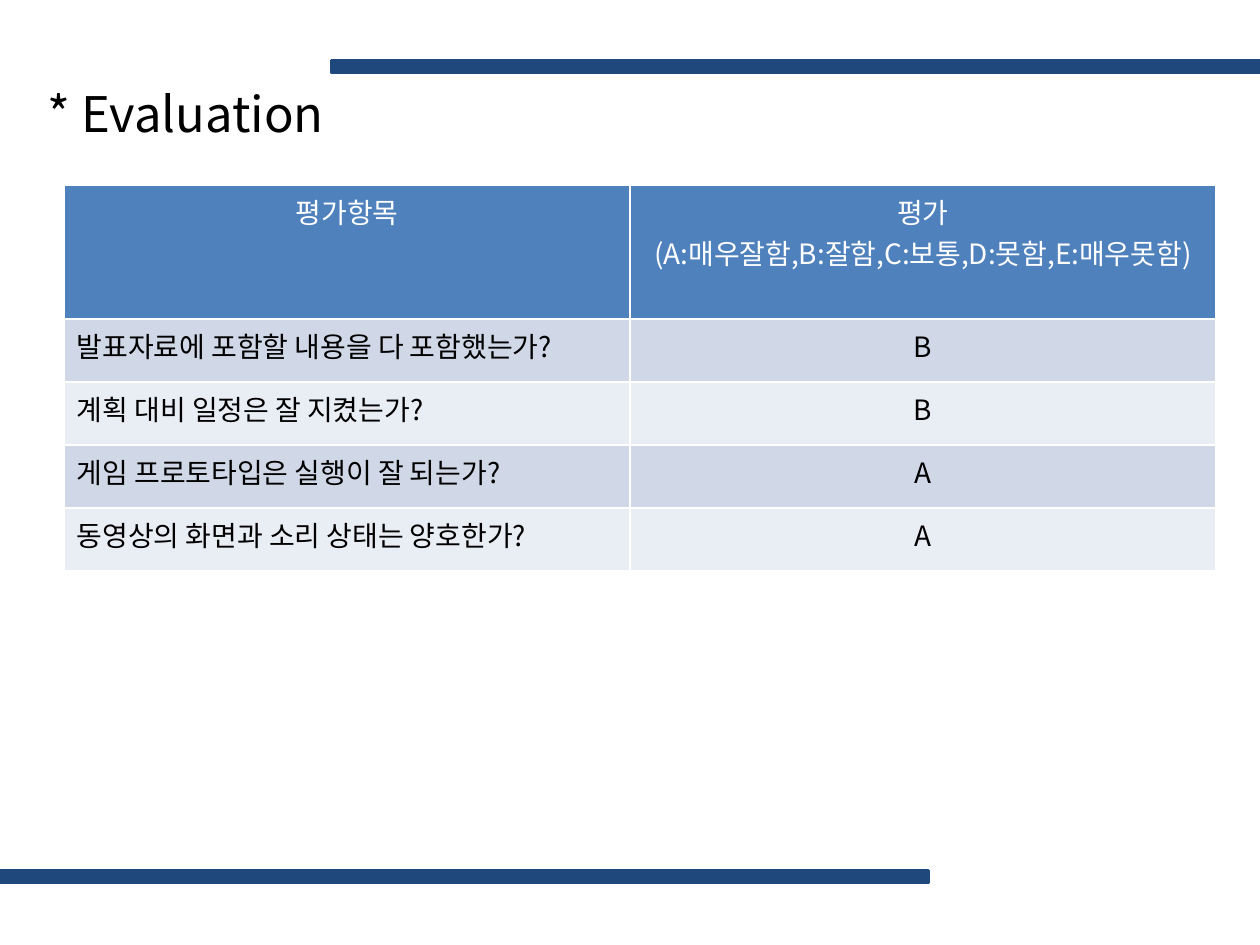
from lxml import etree
from pptx import Presentation
from pptx.dml.color import RGBColor
from pptx.enum import shapes, text
from pptx.oxml.ns import qn
from pptx.util import Inches, Pt

WIDTH, HEIGHT = 10, 7.5
FONT = "Noto Sans CJK KR"
COLORS = {
    "bar": "1F497D",
    "header": "4F81BD",
    "odd": "D0D8E8",
    "even": "E9EDF4",
    "light": "FFFFFF",
    "dark": "000000",
}
HEADINGS = ["평가항목", "평가\n(A:매우잘함,B:잘함,C:보통,D:못함,E:매우못함)"]
GRADES = [
    ("발표자료에 포함할 내용을 다 포함했는가?", "B"),
    ("계획 대비 일정은 잘 지켰는가?", "B"),
    ("게임 프로토타입은 실행이 잘 되는가?", "A"),
    ("동영상의 화면과 소리 상태는 양호한가?", "A"),
]
COLUMN_WIDTHS = [4.49, 4.65]
HEADER_HEIGHT, ROW_HEIGHT = 0.78, 0.5


def color(name):
    return RGBColor.from_string(COLORS[name])


def write(frame, content, size, ink, align):
    """Fill a text frame, one paragraph per line, in the slide's font."""
    frame.text = content
    for paragraph in frame.paragraphs:
        paragraph.alignment = align
        font = paragraph.font
        font.name, font.size, font.bold = FONT, Pt(size), False
        font.color.rgb = color(ink)
        # Korean glyphs take the East Asian typeface
        for run in paragraph.runs:
            properties = run._r.get_or_add_rPr()
            etree.SubElement(properties, qn("a:ea"), typeface=FONT)


def add_title(slide, content):
    title = slide.shapes.title
    title.left, title.top = Inches(0.28), Inches(0.61)
    title.width, title.height = Inches(4.88), Inches(0.57)
    title.text_frame.vertical_anchor = text.MSO_ANCHOR.MIDDLE
    write(title.text_frame, content, 28, "dark", text.PP_ALIGN.LEFT)


def add_bar(slide, left, top, width):
    bar = slide.shapes.add_shape(
        shapes.MSO_SHAPE.RECTANGLE,
        Inches(left), Inches(top), Inches(width), Inches(0.09))
    bar.shadow.inherit = False
    bar.fill.solid()
    bar.fill.fore_color.rgb = color("bar")
    bar.line.color.rgb = color("bar")
    bar.line.width = Pt(2)


def add_grades(slide):
    rows = [HEADINGS, *GRADES]
    height = HEADER_HEIGHT + ROW_HEIGHT * len(GRADES)
    grades = slide.shapes.add_table(
        len(rows), len(HEADINGS), Inches(0.51), Inches(1.47),
        Inches(sum(COLUMN_WIDTHS)), Inches(height)).table
    for column, width in zip(grades.columns, COLUMN_WIDTHS):
        column.width = Inches(width)

    for r, row in enumerate(rows):
        is_header = r == 0
        grades.rows[r].height = Inches(HEADER_HEIGHT if is_header else ROW_HEIGHT)
        fill = "header" if is_header else ("odd" if r % 2 else "even")
        for c, content in enumerate(row):
            cell = grades.cell(r, c)
            cell.fill.solid()
            cell.fill.fore_color.rgb = color(fill)
            is_question = c == 0 and not is_header
            write(cell.text_frame, content, 16,
                  "light" if is_header else "dark",
                  text.PP_ALIGN.LEFT if is_question else text.PP_ALIGN.CENTER)


def main():
    deck = Presentation()
    deck.slide_width, deck.slide_height = Inches(WIDTH), Inches(HEIGHT)
    slide = deck.slides.add_slide(deck.slide_layouts[5])

    # Bars running off opposite edges
    bar_width = 7.37
    add_bar(slide, WIDTH - bar_width, 0.48, bar_width)
    add_bar(slide, 0, 6.91, bar_width)

    # Heading and evaluation table
    add_title(slide, "* Evaluation")
    add_grades(slide)

    deck.save("out.pptx")


if __name__ == "__main__":
    main()
